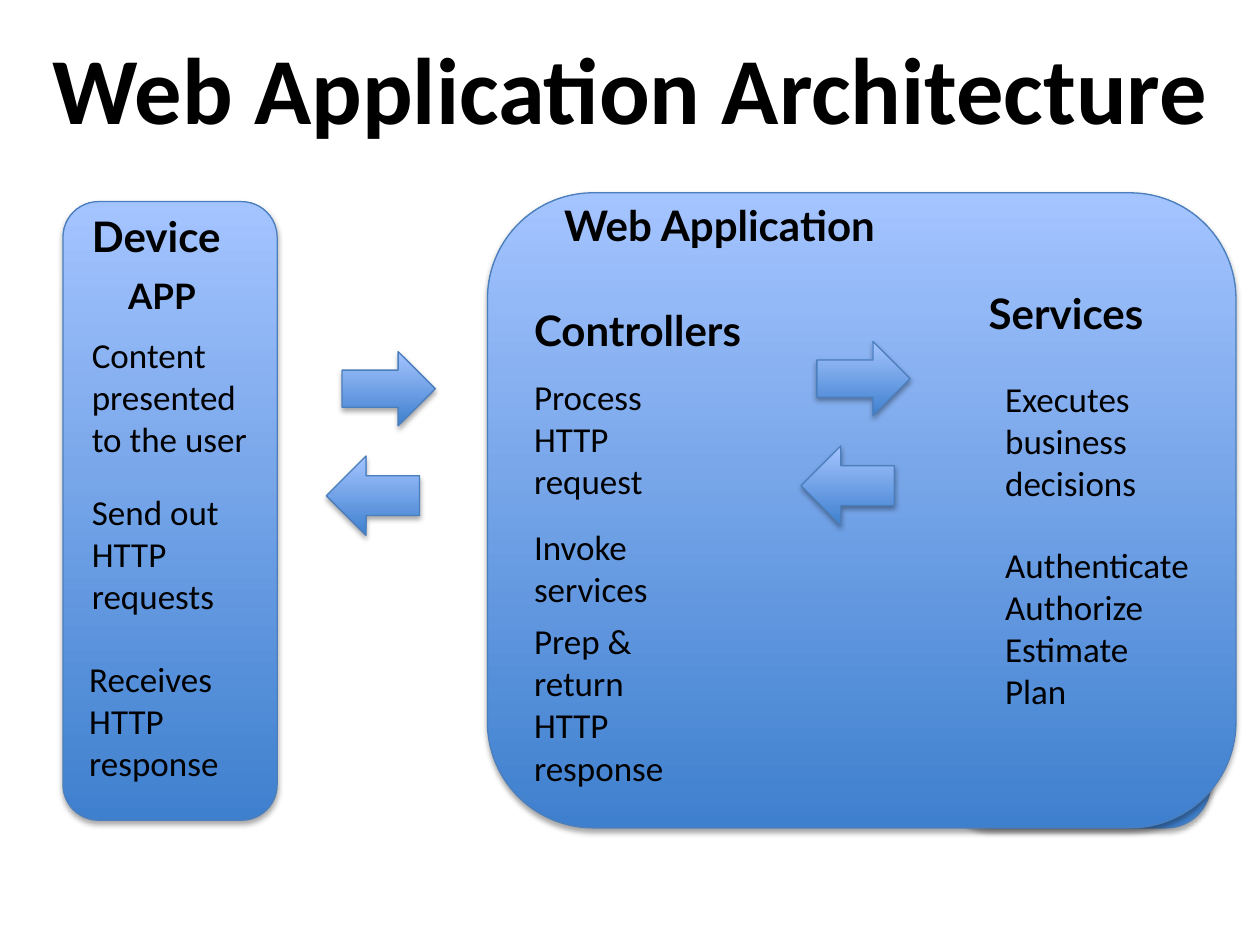
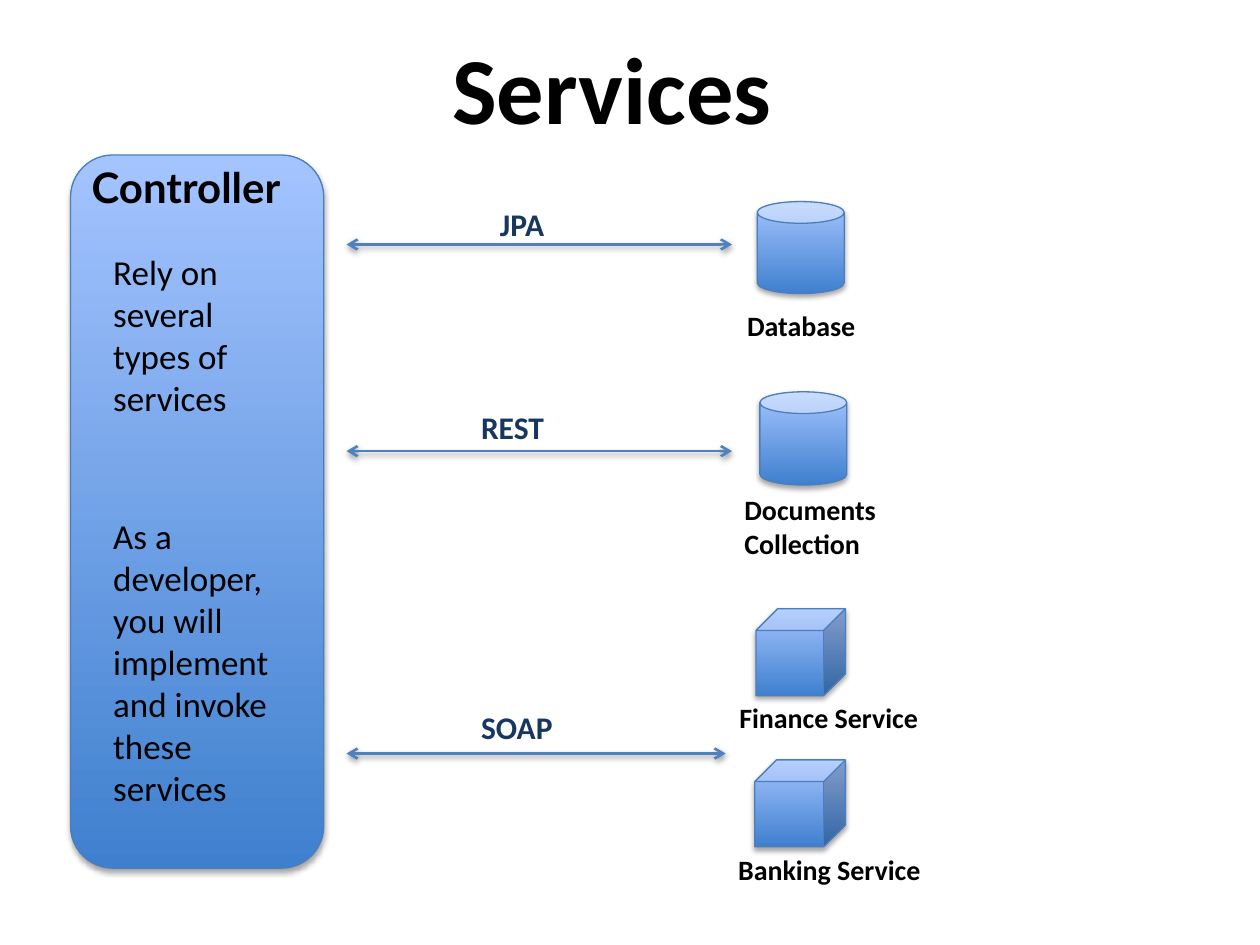
"""Builds two slides on a web application's architecture and its services."""
from lxml import etree
from pptx import Presentation
from pptx import util as u
from pptx.dml import color
from pptx.enum import shapes, text
from pptx.oxml import ns

COLORS = {
    "ink": "000000",
    "label": "17375E",
    "gradient_bottom": "3F80CE",
    "gradient_top": "A4C4FF",
    "outline": "4B7EBC",
    "link": "4F81BD",
}
BODY_FONT, HEADING_FONT = "Calibri", "Lato"
KIND = shapes.MSO_SHAPE


def rgb(name):
    """Return the named colour."""
    return color.RGBColor.from_string(COLORS[name])


def add_shadow(effects, distance, opacity):
    """Put a soft downward shadow into an effect list."""
    shadow = etree.SubElement(
        effects, ns.qn("a:outerShdw"), blurRad=str(u.Pt(3.1)), dist=str(u.Pt(distance)),
        dir="5400000", rotWithShape="0")
    black = etree.SubElement(shadow, ns.qn("a:srgbClr"), val=COLORS["ink"])
    etree.SubElement(black, ns.qn("a:alpha"), val=str(opacity * 1000))


def add_block(slide, kind, box):
    """Draw a preset shape with the shared gradient, outline and shadow."""
    shape = slide.shapes.add_shape(kind, *map(u.Pt, box))
    shape.fill.gradient()
    shape.fill.gradient_angle = 90
    for stop, name in zip(shape.fill.gradient_stops, ("gradient_bottom", "gradient_top")):
        stop.color.rgb = rgb(name)
    shape.line.color.rgb = rgb("outline")
    shape.line.width = u.Pt(0.75)
    shape.shadow.inherit = False
    add_shadow(shape.element.spPr.find(ns.qn("a:effectLst")), 1.8, 35)


def add_text(slide, box, words, size=20, bold=False, font=BODY_FONT, ink="ink"):
    """Add a wrapping text box; each line of words is a paragraph."""
    shape = slide.shapes.add_textbox(*map(u.Pt, box))
    frame = shape.text_frame
    frame.word_wrap = True
    frame.auto_size = text.MSO_AUTO_SIZE.SHAPE_TO_FIT_TEXT
    frame.text = words
    for paragraph in frame.paragraphs:
        for run in paragraph.runs:
            run.font.size = u.Pt(size)
            run.font.bold = bold
            run.font.name = font
            run.font.color.rgb = rgb(ink)
    return frame


def add_title(slide, box, words, inset=7.2):
    """Add the slide title, starting at the inset from the box's left edge."""
    frame = add_text(slide, box, words, size=54, bold=True)
    frame.margin_left = u.Pt(inset)


def add_column(slide, box, heading, passages):
    """Add a heading and passages given as offset, width, height and words."""
    left, top = box[:2]
    (x, y, width), words = heading
    add_text(slide, (left + x, top + y, width, 36), words, 24, True, HEADING_FONT)
    for x, y, width, height, words in passages:
        add_text(slide, (left + x, top + y, width, height), words)


def add_device(slide, box):
    """Draw the device panel with its app tasks."""
    add_block(slide, KIND.ROUNDED_RECTANGLE, box)
    add_column(slide, box, ((9.4, 1.4, 98), "Device"), [
        (9.4, 72, 105.8, 80, "Content presented to the user"),
        (9.4, 161.3, 105.8, 80, "Send out HTTP requests"),
        (7.9, 257, 105.8, 80, "Receives HTTP response"),
    ])
    left, top = box[:2]
    add_text(slide, (left + 30.2, top + 38.2, 84.2, 31.7), "APP", 20, True, HEADING_FONT)


def add_web_application(slide, box):
    """Draw the web application panel, controllers and services."""
    left, top, width, height = box
    services = (left + 262, top + 46.8, 151.2, height - 46.8)
    add_block(slide, KIND.ROUNDED_RECTANGLE, services)
    add_block(slide, KIND.ROUNDED_RECTANGLE, box)
    add_column(slide, box, ((36.7, 0, 225.4), "Web Application"), [])
    add_column(slide, box, ((19.5, 60.5, 144.7), "Controllers"), [
        (19.5, 100.7, 105.8, 80, "Process\nHTTP request"),
        (19.5, 186.5, 105.8, 55.4, "Invoke services"),
        (19.5, 240.5, 105.8, 104.4, "Prep & return HTTP response"),
    ])
    add_column(slide, services, ((17.3, 3.6, 117.4), "Services"), [
        (26.7, 55.4, 96.5, 80, "Executes business decisions"),
        (26.7, 149.8, 124.6, 104.4, "Authenticate\nAuthorize\nEstimate\nPlan"),
    ])


def add_exchange(slide, box):
    """Draw a request arrow above a response arrow."""
    left, top, width, height = box
    add_block(slide, KIND.RIGHT_ARROW, (left + 9, top, width - 9, 42.5))
    add_block(slide, KIND.LEFT_ARROW, (left, top + height - 45.4, width - 9, 45.4))


def add_controller(slide, box):
    """Draw the controller panel with its notes."""
    add_block(slide, KIND.ROUNDED_RECTANGLE, box)
    add_column(slide, box, ((5, 0, 139.7), "Controller"), [
        (17.3, 51.1, 105.8, 104.4, "Rely on several types of services"),
        (17.3, 201.6, 105.8, 177.1,
         "As a developer, you will implement and invoke these services"),
    ])


def add_backend(slide, kind, box, label, name):
    """Draw a backend symbol and its name, offset from the symbol's corner."""
    left, top = box[:2]
    x, y, width, height = label
    add_block(slide, kind, box)
    add_text(slide, (left + x, top + y, width, height), name, 16, True)


def add_link(slide, box, label_offset, protocol):
    """Draw a double-headed link along the box's bottom with a protocol above."""
    left, top, width, height = box
    base = u.Pt(top + height)
    link = slide.shapes.add_connector(
        shapes.MSO_CONNECTOR.STRAIGHT, u.Pt(left), base, u.Pt(left + width), base)
    link.line.color.rgb = rgb("link")
    link.line.width = u.Pt(1.5)
    properties = link.element.spPr
    for end in ("a:headEnd", "a:tailEnd"):
        etree.SubElement(properties.find(ns.qn("a:ln")), ns.qn(end), type="arrow")
    add_shadow(etree.SubElement(properties, ns.qn("a:effectLst")), 1.6, 38)
    add_text(slide, (left + label_offset, top, 92.9, 28.8), protocol, 18, True, ink="label")


def build_architecture(slide):
    """Compose the architecture slide."""
    add_title(slide, (23, 13.7, 683.3, 72.7), "Web Application Architecture")
    add_web_application(slide, (278.6, 110.2, 427.7, 362.9))
    add_device(slide, (36, 115.2, 122.4, 353.5))
    for left, top in ((186.5, 200.9), (457.8, 195.1)):
        add_exchange(slide, (left, top, 62.3, 105.1))


def build_services(slide):
    """Compose the services slide."""
    add_title(slide, (7.2, 13.7, 712.8, 72.7), "Services", inset=251.3)
    add_controller(slide, (40.3, 88.6, 144.7, 407.5))
    for kind, box, label, name in (
        (KIND.CAN, (432.7, 115.2, 49.7, 52.6), (-12.9, 57.6, 89.3, 26.6), "Database"),
        (KIND.CAN, (434.2, 223.9, 49.7, 53.3), (-15.9, 54, 106.6, 46), "Documents Collection"),
        (KIND.CUBE, (432, 347.8, 51.1, 49.7), (-16.6, 49, 192, 26.6), "Finance Service"),
        (KIND.CUBE, (431.3, 434.2, 51.8, 49.7), (-16.6, 49.6, 157, 26.6), "Banking Service"),
    ):
        add_backend(slide, kind, box, label, name)
    for box, label_offset, protocol in (
        ((198, 113.8, 220.3, 25.9), 80.6, "JPA"),
        ((198, 229.7, 220.3, 28.1), 69.8, "REST"),
        ((198, 401, 216.7, 29.6), 69.8, "SOAP"),
    ):
        add_link(slide, box, label_offset, protocol)


def main():
    """Build and save the presentation."""
    presentation = Presentation()
    presentation.slide_width, presentation.slide_height = u.Pt(720), u.Pt(540)
    for build in (build_architecture, build_services):
        build(presentation.slides.add_slide(presentation.slide_layouts[6]))
    presentation.save("out.pptx")


if __name__ == "__main__":
    main()
